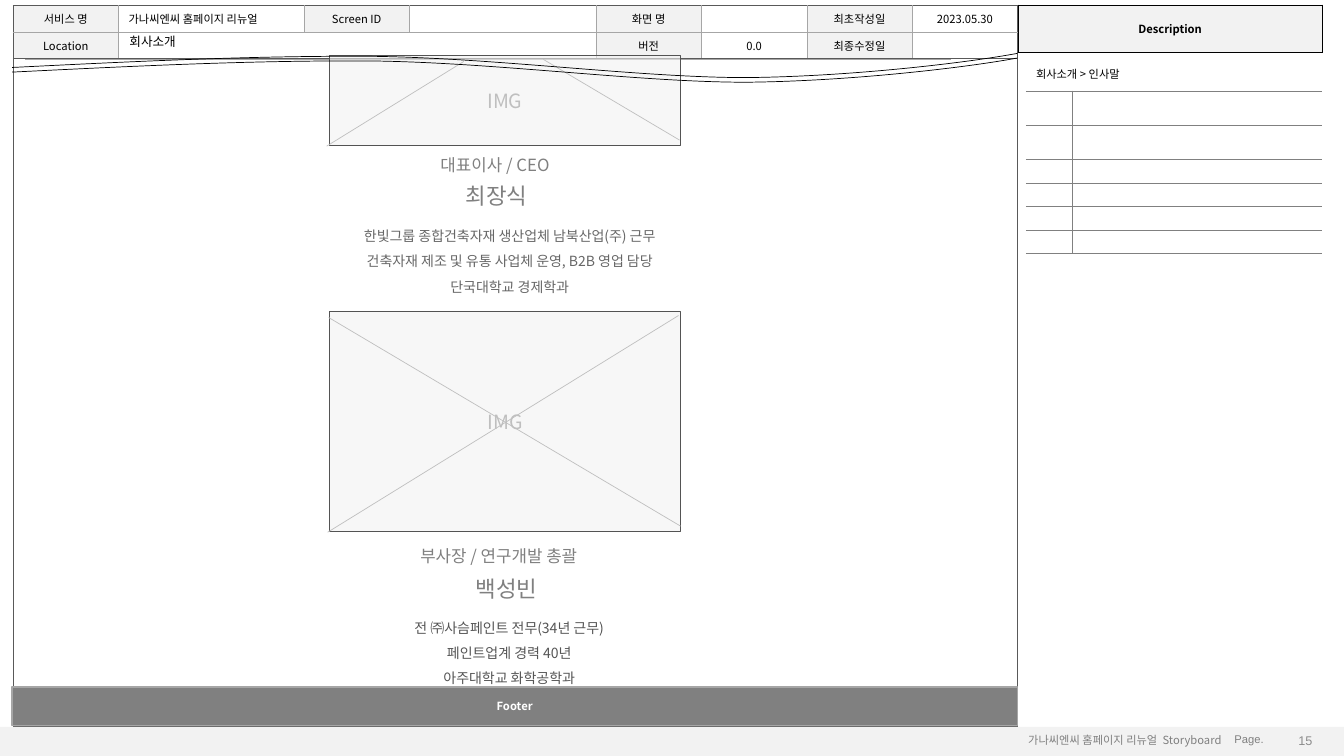
"""Build the storyboard slide that introduces the company's two leaders."""
import dataclasses
import typing

import lxml.etree
import pptx
import pptx.dml.color
import pptx.enum.shapes
import pptx.enum.text
import pptx.oxml.ns
import pptx.util

COLS, ROWS = 1333, 750
WIDE, HIGH = pptx.util.Inches(13.33), pptx.util.Inches(7.5)
NOTO = "Noto Sans CJK KR"
BLACK, WHITE, PALE, GRAY, SILVER, SLATE = "000000", "FFFFFF", "F2F2F2", "808080", "A6A6A6", "595959"
LEFT, MID, RIGHT = (pptx.enum.text.PP_ALIGN.LEFT, pptx.enum.text.PP_ALIGN.CENTER,
                    pptx.enum.text.PP_ALIGN.RIGHT)
TOP, CORE = pptx.enum.text.MSO_ANCHOR.TOP, pptx.enum.text.MSO_ANCHOR.MIDDLE
RECT = pptx.enum.shapes.MSO_SHAPE.RECTANGLE
LINE = pptx.enum.shapes.MSO_CONNECTOR.STRAIGHT
Spot = tuple[float, float]
Box = tuple[float, float, float, float]
Edge = typing.Optional[tuple[str, float]]


@dataclasses.dataclass
class Style:
    """Look of a piece of text."""
    size: float = 8
    hue: str = BLACK
    bold: bool = False
    face: str = NOTO
    align: typing.Any = LEFT
    gap: float = 1.0


@dataclasses.dataclass
class Note:
    """Text placed on the grid."""
    text: str
    box: Box
    style: Style
    wrap: bool = False
    anchor: typing.Any = TOP


@dataclasses.dataclass
class Frame:
    """Image holder with its crossing lines."""
    box: Box
    lines: tuple[tuple[Spot, Spot], ...]


TITLE, NAME = Style(12, GRAY), Style(16, GRAY)
LABEL = Style(align=MID)
STRONG = Style(bold=True, align=MID)
BRAND = "가나씨엔씨 홈페이지 리뉴얼"
HEAD = [["서비스 명", BRAND, "Screen ID", "", "화면 명", "", "최초작성일", "2023.05.30"],
        ["Location", "", "", "", "버전", "0.0", "최종수정일", ""],
        [""] * 8]
MARKS = [
    Note("Page.", (1214.5, 722, 59, 24), Style(8, GRAY, face="Arial"), True),
    Note(BRAND + "  Storyboard", (1010, 723, 227, 24), Style(8, GRAY)),
    Note("15", (1252.5, 721.5, 59, 27), Style(9, "8C8C8C", face="Arial", align=RIGHT), True, CORE),
    Note("회사소개", (118.5, 29, 71, 25), Style(9)),
]
LEADERS = [
    Note("대표이사 / CEO", (427, 148.5, 139, 30), TITLE),
    Note("최장식", (452, 176, 88, 37), NAME),
    Note("한빛그룹 종합건축자재 생산업체 남북산업(주) 근무\n"
         "건축자재 제조 및 유통 사업체 운영, B2B 영업 담당\n단국대학교 경제학과",
         (337.5, 212.5, 336, 83), Style(10, "676767", align=MID, gap=1.5)),
    Note("부사장 / 연구개발 총괄", (407, 536.5, 196, 30), TITLE),
    Note("백성빈", (462, 566, 88, 37), NAME),
    Note("전 ㈜사슴페인트 전무(34년 근무)\n페인트업계 경력 40년\n아주대학교 화학공학과",
         (394.5, 601, 221, 83), Style(10, "555555", align=MID, gap=1.5)),
]
LOWER = Frame((327, 309.5, 348, 217.5), (((673, 313), (325, 528)), ((675, 522), (326, 315))))
UPPER = Frame((327, 55, 347.5, 89), (((460, 61), (324, 145)), ((674, 139), (539, 59))))
WAVE = [(12, 67), (133, 61), (253, 55), (374, 56), (496, 58), (635, 77), (740, 77),
        (846, 76), (961, 62), (1009, 53)]


def across(cols: float) -> int:
    return round(WIDE * cols / COLS)


def down(rows: float) -> int:
    return round(HIGH * rows / ROWS)


def place(box: Box) -> tuple[int, int, int, int]:
    return across(box[0]), down(box[1]), across(box[2]), down(box[3])


def color(hue: str) -> pptx.dml.color.RGBColor:
    return pptx.dml.color.RGBColor.from_string(hue)


def node(parent: typing.Any, tag: str, **values: str) -> typing.Any:
    return lxml.etree.SubElement(parent, pptx.oxml.ns.qn(tag), values)


def adorn(target: typing.Any, values: dict[str, typing.Any]) -> None:
    for key, value in values.items():
        setattr(target, key, value)


def stroke(line: typing.Any, edge: Edge) -> None:
    if edge is None:
        line.fill.background()
        return
    line.color.rgb = color(edge[0])
    line.width = pptx.util.Pt(edge[1])


def write(frame: typing.Any, text: str, style: Style) -> None:
    para = frame.paragraphs[0]
    size = str(int(style.size * 100))
    if not text:
        node(para._p, "a:endParaRPr", sz=size)
        return
    para.text = text
    adorn(para, {"alignment": style.align, "line_spacing": style.gap})
    for rest in para._p.findall(pptx.oxml.ns.qn("a:br")):
        node(rest, "a:rPr", sz=size)
    for run in para.runs:
        adorn(run.font, {"size": pptx.util.Pt(style.size), "bold": style.bold, "name": style.face})
        run.font.color.rgb = color(style.hue)
        look = run._r.get_or_add_rPr()
        look.set("kern", "0")
        node(look, "a:ea", typeface=style.face)


def put(shapes: typing.Any, note: Note) -> None:
    frame = shapes.add_textbox(*place(note.box)).text_frame
    adorn(frame, {"word_wrap": note.wrap, "vertical_anchor": note.anchor})
    write(frame, note.text, note.style)


def block(shapes: typing.Any, box: Box, hue: str, edge: Edge = None,
          text: str = "", style: Style = LABEL) -> typing.Any:
    shape = shapes.add_shape(RECT, *place(box))
    shape.shadow.inherit = False
    shape.fill.solid()
    shape.fill.fore_color.rgb = color(hue)
    stroke(shape.line, edge)
    shape.text_frame.vertical_anchor = CORE
    write(shape.text_frame, text, style)
    return shape


def link(shapes: typing.Any, start: Spot, end: Spot, hue: str) -> None:
    line = shapes.add_connector(LINE, across(start[0]), down(start[1]), across(end[0]), down(end[1]))
    stroke(line.line, (hue, 0.5))
    node(line._element.spPr, "a:effectLst")


def hold(shapes: typing.Any, item: Frame) -> None:
    shape = block(shapes, item.box, PALE, ("535353", 0.75), "IMG", Style(14, "BFBFBF", align=MID))
    tint = shape._element.spPr.find(".//" + pptx.oxml.ns.qn("a:srgbClr"))
    node(tint, "a:alpha", val="60000")
    for start, end in item.lines:
        link(shapes, start, end, "BFBFBF")


def grid(shapes: typing.Any, spot: Spot, cols: list[float], rows: list[float]) -> typing.Any:
    table = shapes.add_table(len(rows), len(cols), *place((*spot, sum(cols), sum(rows)))).table
    adorn(table, {"first_row": False, "horz_banding": False})
    for col, width in zip(table.columns, cols):
        col.width = across(width)
    for row, height in zip(table.rows, rows):
        row.height = down(height)
    return table


def dress(cell: typing.Any, text: str, style: Style, hue: str, edges: tuple[Edge, ...]) -> None:
    adorn(cell, {"vertical_anchor": CORE, "margin_top": down(3), "margin_bottom": down(3)})
    for side, edge in zip("LRTB", edges):
        width = edge[1] if edge else 0
        line = node(cell._tc.get_or_add_tcPr(), "a:ln" + side, w=str(pptx.util.Pt(width)))
        if edge:
            node(node(line, "a:solidFill"), "a:srgbClr", val=edge[0])
        else:
            node(line, "a:noFill")
    cell.fill.solid()
    cell.fill.fore_color.rgb = color(hue)
    write(cell.text_frame, text, style)


def header(shapes: typing.Any) -> None:
    side = 104.6
    table = grid(shapes, (13, 5.5), [side, 184, side, 185] + [side] * 4, [26.2, 26.2, 662.6])
    table.cell(1, 1).merge(table.cell(1, 3))
    table.cell(2, 0).merge(table.cell(2, 7))
    for r, texts in enumerate(HEAD):
        for c, text in enumerate(texts):
            outer = (c == 0 or r == 2, c == 7 or r == 2, r in (0, 2), r > 0)
            edges = tuple((SLATE if dark else SILVER, 0.5) for dark in outer)
            hue = PALE if r < 2 and c % 2 == 0 and (r, c) != (1, 2) else WHITE
            dress(table.cell(r, c), text, Style() if c == 1 else LABEL, hue, edges)


def legend(shapes: typing.Any) -> None:
    table = grid(shapes, (1017.5, 55), [46, 248], [35, 34, 34] + [23.4] * 4)
    table.cell(0, 0).merge(table.cell(0, 1))
    thin = (GRAY, 0.25)
    for r in range(7):
        for c in range(2):
            side = thin if r and c else None
            mate = thin if r and not c else None
            text = "회사소개 > 인사말" if r + c == 0 else ""
            dress(table.cell(r, c), text, Style(), WHITE, (side, mate, thin if r else None, thin))


def curve(shapes: typing.Any, drop: float) -> None:
    dots = [(across(x), down(y + drop)) for x, y in WAVE]
    pen = shapes.build_freeform(*dots[0], scale=1.0)
    pen.add_line_segments(dots[1:], close=False)
    shape = pen.convert_to_shape()
    shape.shadow.inherit = False
    shape.fill.background()
    stroke(shape.line, (BLACK, 0.5))
    legs = list(shape._element.spPr.iter(pptx.oxml.ns.qn("a:lnTo")))
    for first in range(0, len(legs), 3):
        bend = node(legs[first].getparent(), "a:cubicBezTo")
        for leg in legs[first:first + 3]:
            bend.append(leg[0])
            leg.getparent().remove(leg)


def main() -> None:
    deck = pptx.Presentation()
    adorn(deck, {"slide_width": WIDE, "slide_height": HIGH})
    shapes = deck.slides.add_slide(deck.slide_layouts[6]).shapes
    header(shapes)
    block(shapes, (0, 721, COLS, 29), PALE)
    banner = grid(shapes, (1009.6, 5), [302], [46.6])
    dress(banner.cell(0, 0), "Description", STRONG, PALE, ((BLACK, 0.5),) * 4)
    for note in MARKS:
        put(shapes, note)
    legend(shapes)
    link(shapes, (25, 58.5), (943, 58.5), SILVER)
    block(shapes, (12, 681.5, 997, 38), GRAY, (SILVER, 1), "Footer", dataclasses.replace(STRONG, hue=WHITE))
    hold(shapes, LOWER)
    for note in LEADERS:
        put(shapes, note)
    hold(shapes, UPPER)
    for drop in (0, 4.6):
        curve(shapes, drop)
    deck.save("out.pptx")


if __name__ == "__main__":
    main()
